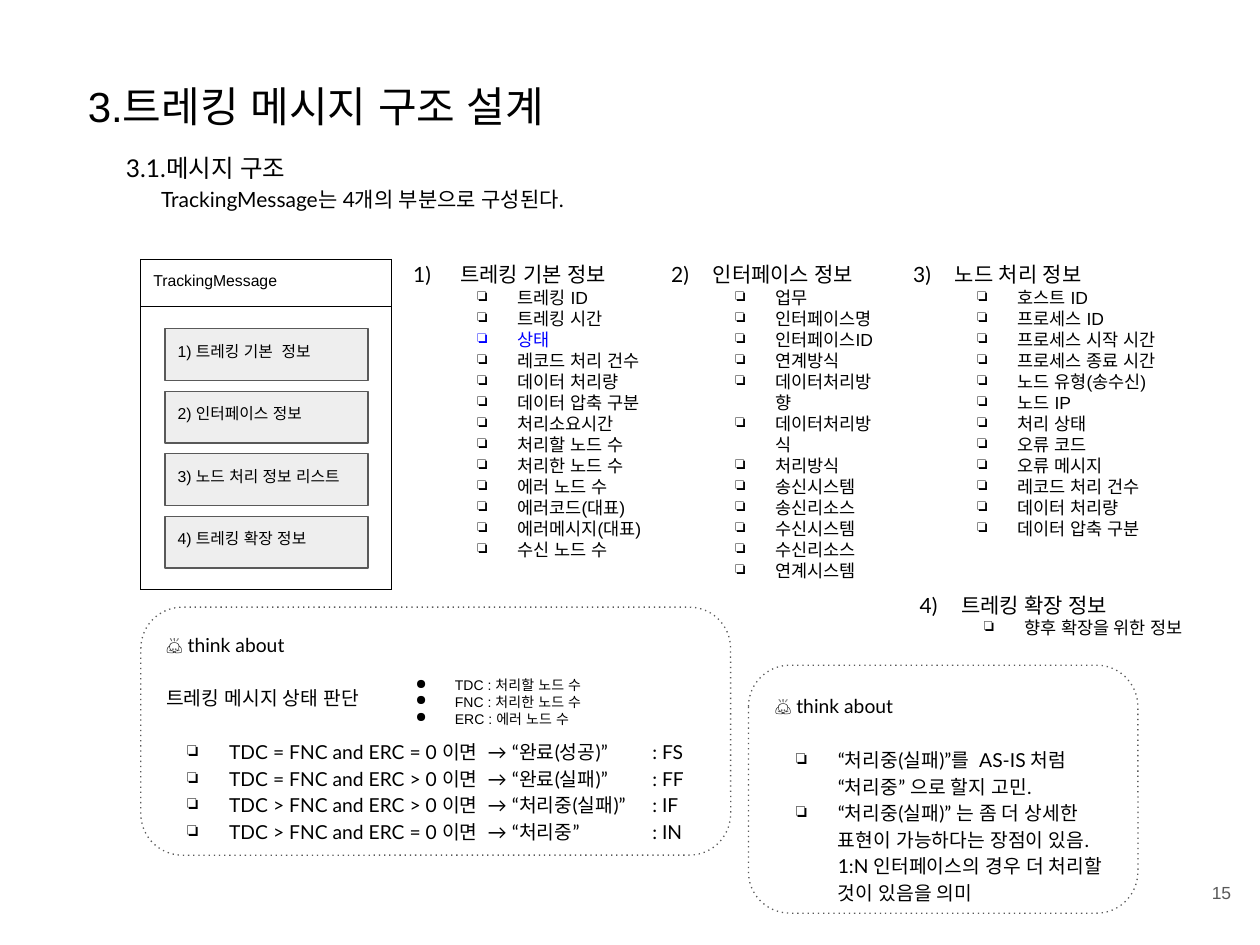
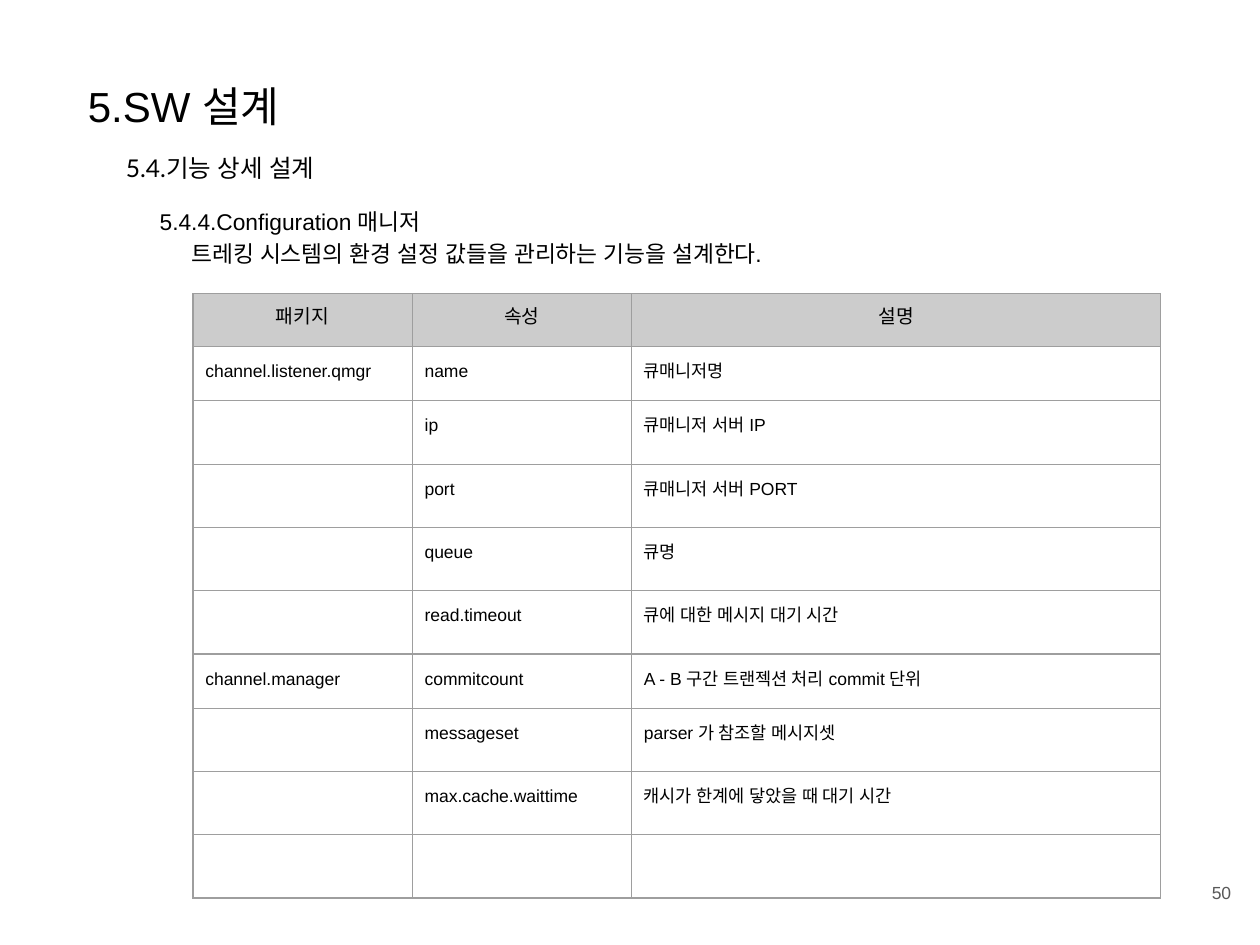
from pptx import Presentation
from pptx.dml.color import RGBColor
from pptx.enum.dml import MSO_LINE
from pptx.enum.shapes import MSO_SHAPE
from pptx.enum.text import MSO_ANCHOR, MSO_AUTO_SIZE, PP_ALIGN
from pptx.oxml.ns import qn
from pptx.util import Cm, Pt
from lxml.etree import SubElement

BLACK, GREY, BLUE = "000000", "595959", "0000FF"
PALE, HEAD, RULE = "EEEEEE", "CCCCCC", "9E9E9E"
SANS, LATO = "Arial", "Lato"
PAD = Cm(0.25)
BOX = "❏"
THINK = "🙇 think about"

PARTS = ["1) 트레킹 기본  정보", "2) 인터페이스 정보",
         "3) 노드 처리 정보 리스트", "4) 트레킹 확장 정보"]

LISTS = [
    (7.65, 4.95, 6.12, 8.13, " 트레킹 기본 정보",
     ["트레킹 ID", "트레킹 시간", "상태", "레코드 처리 건수", "데이터 처리량",
      "데이터 압축 구분", "처리소요시간", "처리할 노드 수", "처리한 노드 수",
      "에러 노드 수", "에러코드(대표)", "에러메시지(대표)", "수신 노드 수"]),
    (12.85, 4.95, 5.23, 6.65, "인터페이스 정보",
     ["업무", "인터페이스명", "인터페이스ID", "연계방식", "데이터처리방향",
      "데이터처리방식", "처리방식", "송신시스템", "송신리소스", "수신시스템",
      "수신리소스", "연계시스템"]),
    (17.73, 4.95, 6.88, 6.27, "노드 처리 정보",
     ["호스트 ID", "프로세스 ID", "프로세스 시작 시간", "프로세스 종료 시간",
      "노드 유형(송수신)", "노드 IP", "처리 상태", "오류 코드", "오류 메시지",
      "레코드 처리 건수", "데이터 처리량", "데이터 압축 구분"]),
    (17.86, 11.61, 6.6, 1.9, "트레킹 확장 정보", ["향후 확장을 위한 정보"]),
]

RULES = [
    ("TDC = FNC and ERC = 0 이면  → “완료(성공)”", ": FS"),
    ("TDC = FNC and ERC > 0 이면  → “완료(실패)”", ": FF"),
    ("TDC > FNC and ERC > 0 이면  → “처리중(실패)”", ": IF"),
    ("TDC > FNC and ERC = 0 이면  → “처리중”", ": IN"),
]

COUNTS = ["TDC : 처리할 노드 수", "FNC : 처리한 노드 수", "ERC : 에러 노드 수"]

NOTES = ["“처리중(실패)”를  AS-IS 처럼 “처리중” 으로 할지 고민.",
         "“처리중(실패)” 는 좀 더 상세한 표현이 가능하다는 장점이 있음."]

PROPS = [
    ("channel.listener.qmgr", "name", "큐매니저명"),
    ("", "ip", "큐매니저 서버 IP"),
    ("", "port", "큐매니저 서버 PORT"),
    ("", "queue", "큐명"),
    ("", "read.timeout", "큐에 대한 메시지 대기 시간"),
    ("channel.manager", "commitcount", "A - B 구간 트랜젝션 처리 commit 단위"),
    ("", "messageset", "parser 가 참조할 메시지셋"),
    ("", "max.cache.waittime", "캐시가 한계에 닿았을 때 대기 시간"),
    ("", "", ""),
]


def tone(code):
    return RGBColor.from_string(code)


def mark(para, sign, hue):
    props = para._p.get_or_add_pPr()
    paint = SubElement(props, qn("a:buClr"))
    SubElement(paint, qn("a:srgbClr")).set("val", hue)
    if isinstance(sign, int):
        auto = SubElement(props, qn("a:buAutoNum"))
        auto.set("type", "arabicParenR")
        auto.set("startAt", str(sign))
    else:
        SubElement(props, qn("a:buChar")).set("char", sign)


def put(frame, text, size, font=SANS, hue=BLACK, space=1.0, before=0,
        after=0, left=0, hang=0, sign=None, align=PP_ALIGN.LEFT):
    para = frame.add_paragraph() if frame.text else frame.paragraphs[0]
    para.text = text
    para.alignment = align
    para.line_spacing = space
    para.space_before, para.space_after = Pt(before), Pt(after)
    props = para._p.get_or_add_pPr()
    props.set("marL", str(Cm(left)))
    props.set("indent", str(Cm(-hang)))
    if sign is not None:
        mark(para, sign, hue)
    for run in para.runs:
        run.font.size, run.font.name = Pt(size), font
        run.font.bold = False
        run.font.color.rgb = tone(hue)
        SubElement(run._r.get_or_add_rPr(), qn("a:ea")).set("typeface", font)


def prep(frame, anchor=MSO_ANCHOR.TOP):
    frame.word_wrap = True
    frame.auto_size = MSO_AUTO_SIZE.NONE
    frame.vertical_anchor = anchor
    frame.margin_left = frame.margin_right = PAD
    frame.margin_top = frame.margin_bottom = PAD
    return frame


def area(slide, x, y, w, h, anchor=MSO_ANCHOR.TOP):
    box = slide.shapes.add_textbox(Cm(x), Cm(y), Cm(w), Cm(h))
    return prep(box.text_frame, anchor)


def shape(slide, kind, x, y, w, h, fill=None):
    item = slide.shapes.add_shape(kind, Cm(x), Cm(y), Cm(w), Cm(h))
    item.shadow.inherit = False
    if fill:
        item.fill.solid()
        item.fill.fore_color.rgb = tone(fill)
    else:
        item.fill.background()
    item.line.color.rgb = tone(GREY)
    item.line.width = Pt(0.75)
    return item


def cloud(slide, x, y, w, h):
    item = shape(slide, MSO_SHAPE.ROUNDED_RECTANGLE, x, y, w, h)
    item.line.dash_style = MSO_LINE.ROUND_DOT
    item._element.find(".//" + qn("a:prstDash")).set("val", "dot")


def grid(slide, x, y, cols, rows, hue):
    frame = slide.shapes.add_table(len(rows), len(cols), Cm(x), Cm(y),
                                   Cm(sum(cols)), Cm(sum(rows)))
    table = frame.table
    table.first_row = table.horz_banding = False
    for col, width in zip(table.columns, cols):
        col.width = Cm(width)
    for row, height in zip(table.rows, rows):
        row.height = Cm(height)
    for cell in table.iter_cells():
        cell.margin_left = cell.margin_right = PAD
        cell.margin_top = cell.margin_bottom = PAD
        edge(cell, hue)
        cell.fill.background()
    return table


def edge(cell, hue):
    props = cell._tc.get_or_add_tcPr()
    for side in ("lnL", "lnR", "lnT", "lnB"):
        line = SubElement(props, qn("a:" + side))
        line.set("w", str(Pt(0.75)))
        paint = SubElement(line, qn("a:solidFill"))
        SubElement(paint, qn("a:srgbClr")).set("val", hue)


def start(deck, title, page):
    slide = deck.slides.add_slide(deck.slide_layouts[5])
    head = slide.shapes.title
    head.left, head.top = Cm(1.52), Cm(1.37)
    head.width, head.height = Cm(21.64), Cm(1.37)
    put(prep(head.text_frame), title, 24, after=16)
    foot = area(slide, 23.55, 17.27, 1.52, 1.45, MSO_ANCHOR.MIDDLE)
    put(foot, str(page), 10, hue=GREY, align=PP_ALIGN.RIGHT)
    return slide


def topic(slide, text):
    frame = area(slide, 2.29, 2.75, 14.22, 1.83)
    put(frame, text, 14, LATO, space=1.15)
    return frame


def column(slide, order, x, y, w, h, head, items):
    frame = area(slide, x, y, w, h)
    put(frame, head, 12, LATO, space=1.15, left=1.27, hang=0.84, sign=order)
    for item in items:
        hue = BLUE if item == "상태" else BLACK
        put(frame, item, 10, hue=hue, left=2.54, hang=0.81, sign=BOX)


def model(slide):
    table = grid(slide, 2.84, 5.23, [5.05], [0.94, 5.72], BLACK)
    put(table.cell(0, 0).text_frame, "TrackingMessage", 9)
    for i, part in enumerate(PARTS):
        item = shape(slide, MSO_SHAPE.RECTANGLE, 3.33, 6.63 + 1.26 * i,
                     4.09, 1.04, PALE)
        put(prep(item.text_frame), part, 9)


def think(slide, x, y, w, h):
    frame = area(slide, x, y, w, h)
    put(frame, THINK, 11, LATO, space=1.15)
    return frame


def points(frame, items):
    for i, item in enumerate(items):
        put(frame, item, 11, LATO, space=1.15, before=0 if i else 16,
            left=1.27, hang=0.84, sign=BOX)


def states(slide):
    cloud(slide, 2.84, 12.24, 11.89, 5)
    frame = think(slide, 3.1, 12.45, 11.38, 4.8)
    put(frame, "트레킹 메시지 상태 판단", 11, LATO, space=1.15, before=15)
    points(frame, [rule for rule, code in RULES])
    codes = area(slide, 12.9, 14.61, 1.8, 2.6)
    for rule, code in RULES:
        put(codes, code, 11, LATO, space=1.15)
    counts = area(slide, 7.65, 13.39, 4.57, 1.8)
    for count in COUNTS:
        put(counts, count, 8, left=1.27, hang=0.79, sign="●")


def worries(slide):
    cloud(slide, 15.09, 13.41, 7.85, 5)
    frame = think(slide, 15.37, 13.67, 7.24, 3.61)
    points(frame, NOTES)
    put(frame, "1:N 인터페이스의 경우 더 처리할 것이 있음을 의미", 11, LATO,
        space=1.15, left=1.27)


def message(deck):
    slide = start(deck, "3.트레킹 메시지 구조 설계", 15)
    frame = topic(slide, "3.1.메시지 구조")
    put(frame, "TrackingMessage는 4개의 부분으로 구성된다.", 12, LATO,
        space=1.15, left=0.71)
    model(slide)
    for order, part in enumerate(LISTS, 1):
        column(slide, order, *part)
    states(slide)
    worries(slide)


def config(deck):
    slide = start(deck, "5.SW 설계", 50)
    topic(slide, "5.4.기능 상세 설계")
    frame = area(slide, 2.97, 3.86, 15.34, 1.45)
    put(frame, "5.4.4.Configuration 매니저", 13, space=1.15)
    put(frame, "트레킹 시스템의 환경 설정 값들을 관리하는 기능을 설계한다.", 13,
        space=1.15, left=0.64)
    rows = [1.07] + [1.09 if prop[0] else 1.22 for prop in PROPS]
    table = grid(slide, 3.89, 5.92, [4.42, 4.42, 10.67], rows, RULE)
    for c, head in enumerate(["패키지", "속성", "설명"]):
        cell = table.cell(0, c)
        cell.fill.solid()
        cell.fill.fore_color.rgb = tone(HEAD)
        put(cell.text_frame, head, 11, align=PP_ALIGN.CENTER)
    for r, prop in enumerate(PROPS, 1):
        for c, text in enumerate(prop):
            if text:
                put(table.cell(r, c).text_frame, text, 10, space=1.15)


def main():
    deck = Presentation()
    deck.slide_width, deck.slide_height = Cm(25.4), Cm(19.05)
    message(deck)
    config(deck)
    deck.save("out.pptx")


if __name__ == "__main__":
    main()
